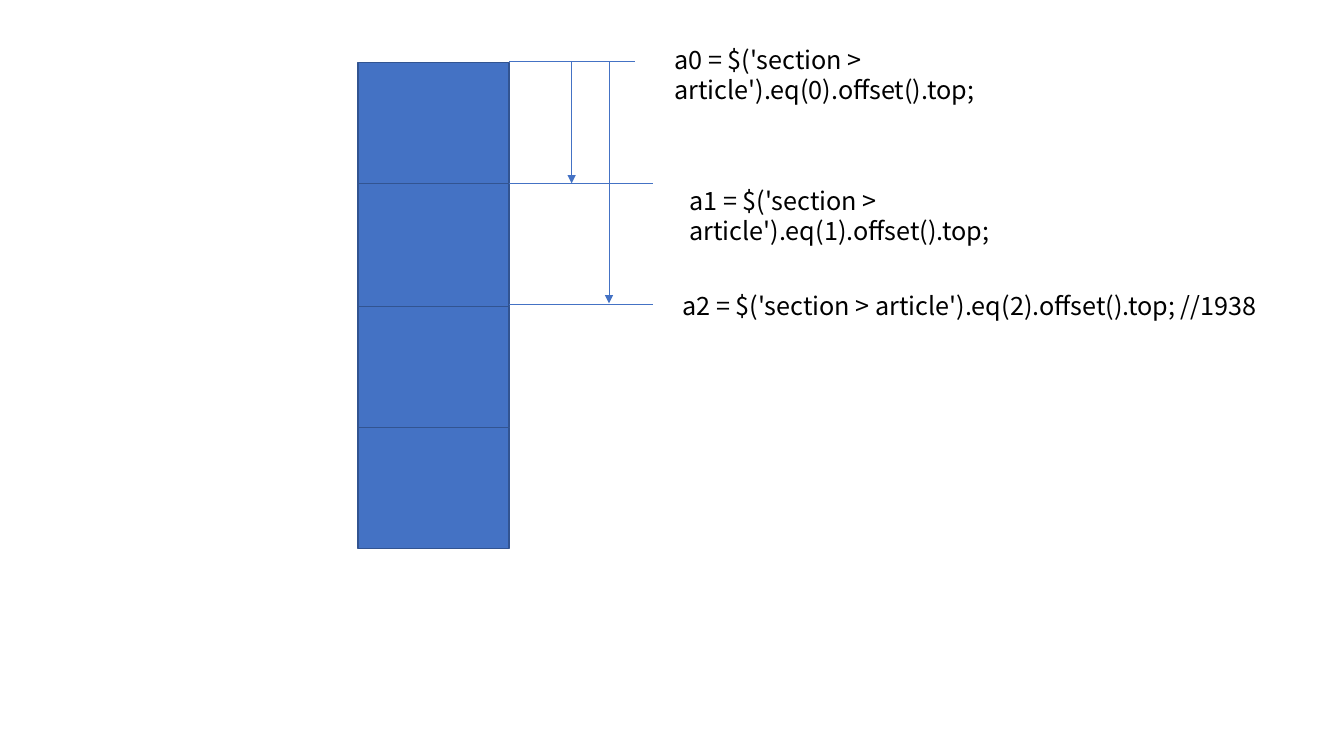
from itertools import accumulate

from lxml.etree import SubElement
from pptx import Presentation
from pptx.dml.color import RGBColor
from pptx.enum.shapes import MSO_CONNECTOR, MSO_SHAPE
from pptx.enum.text import MSO_AUTO_SIZE
from pptx.oxml.ns import qn
from pptx.util import Inches, Pt

FONT = "Noto Sans CJK KR"
BLUE, DARK_BLUE, BLACK = "4472C4", "325491", "000000"

ARTICLE_LEFT, ARTICLE_WIDTH, FIRST_TOP = 3.55, 1.5, 0.62
ARTICLE_HEIGHTS = [1.2, 1.22, 1.2, 1.2]
# (y, right end) of each guide line
GUIDES = [(0.61, 6.3), (1.82, 6.48), (3.02, 6.48)]
# (x, bottom end) of each offset arrow
OFFSET_ARROWS = [(5.67, 1.82), (6.04, 3.01)]
# (text, left, top, width)
LABELS = [
    ("a0 = $('section > article').eq(0).offset().top;", 6.59, 0.39, 5.06),
    ("a1 = $('section > article').eq(1).offset().top;", 6.74, 1.79, 5.06),
    ("a2 = $('section > article').eq(2).offset().top; //1938", 6.67, 2.83, 5.95),
]


def color(value):
    return RGBColor.from_string(value)


def add_article(slide, top, height):
    shape = slide.shapes.add_shape(
        MSO_SHAPE.RECTANGLE, Inches(ARTICLE_LEFT), Inches(top),
        Inches(ARTICLE_WIDTH), Inches(height))
    shape.shadow.inherit = False
    shape.fill.solid()
    shape.fill.fore_color.rgb = color(BLUE)
    shape.line.color.rgb = color(DARK_BLUE)
    shape.line.width = Pt(1)


def add_line(slide, start, end, arrow=False):
    connector = slide.shapes.add_connector(
        MSO_CONNECTOR.STRAIGHT, *(Inches(value) for value in start + end))
    connector.line.color.rgb = color(BLUE)
    connector.line.width = Pt(0.5)
    if arrow:
        SubElement(connector.line._get_or_add_ln(), qn("a:tailEnd"), type="triangle")
    SubElement(connector._element.spPr, qn("a:effectLst"))


def add_text(slide, text, left, top, width, height=0.4, size=18, font=FONT, fill=BLACK):
    box = slide.shapes.add_textbox(
        Inches(left), Inches(top), Inches(width), Inches(height))
    frame = box.text_frame
    frame.word_wrap = True
    frame.auto_size = MSO_AUTO_SIZE.SHAPE_TO_FIT_TEXT
    run = frame.paragraphs[0].add_run()
    run.text = text
    run.font.name = font
    run.font.size = Pt(size)
    run.font.color.rgb = color(fill)


def main():
    presentation = Presentation()
    presentation.slide_width = Inches(13.33)
    presentation.slide_height = Inches(7.5)
    slide = presentation.slides.add_slide(presentation.slide_layouts[6])

    article_tops = accumulate(ARTICLE_HEIGHTS, initial=FIRST_TOP)
    for top, height in zip(article_tops, ARTICLE_HEIGHTS):
        add_article(slide, top, height)
    for y, right in GUIDES:
        add_line(slide, (ARTICLE_LEFT + ARTICLE_WIDTH, y), (right, y))
    for x, bottom in OFFSET_ARROWS:
        add_line(slide, (x, FIRST_TOP), (x, bottom), arrow=True)
    for label in LABELS:
        add_text(slide, *label)

    presentation.save("out.pptx")


if __name__ == "__main__":
    main()
